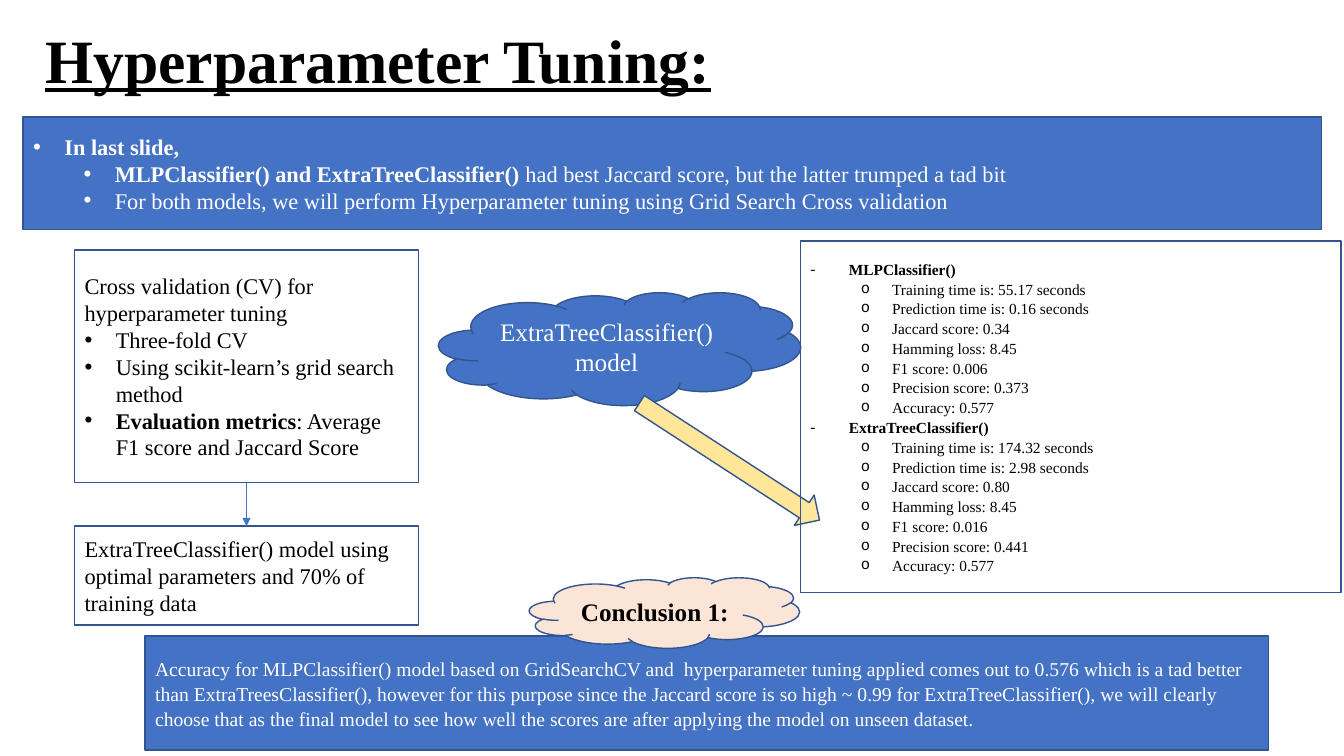
import pptx
import pptx.dml.color
import pptx.enum.shapes
import pptx.enum.text
import pptx.oxml
import pptx.oxml.ns
import pptx.util

Inches, Pt = pptx.util.Inches, pptx.util.Pt
SHAPE = pptx.enum.shapes.MSO_SHAPE
ALIGN = pptx.enum.text.PP_ALIGN
ANCHOR = pptx.enum.text.MSO_ANCHOR

FONT = "Times New Roman"
BLUE, OUTLINE, CREAM, PEACH = "4472C4", "325491", "FFE699", "FBE5D6"
WHITE, BLACK = "FFFFFF", "000000"

# Bullet styles: level, left margin, hanging indent, character, bullet font
PLAIN = None
DOT = (0, 0.31, 0.31, "•", "Arial")
SUB_DOT = (1, 0.81, 0.31, "•", "Arial")
DASH = (0, 0.38, 0.38, "-", FONT)
CIRCLE = (1, 0.81, 0.31, "o", "Courier New")

TITLE = "Hyperparameter Tuning:"

# A paragraph is a bullet style and its runs, each with a bold flag
RECAP = [
    (DOT, [("In last slide, ", True)]),
    (SUB_DOT, [("MLPClassifier() and ExtraTreeClassifier() ", True),
               ("had best Jaccard score, but the latter trumped a tad bit", False)]),
    (SUB_DOT, [("For both models, we will perform Hyperparameter tuning using "
                "Grid Search Cross validation", False)]),
]
VALIDATION = [
    (PLAIN, [("Cross validation (CV) for hyperparameter tuning", False)]),
    (DOT, [("Three-fold CV", False)]),
    (DOT, [("Using scikit-learn’s grid search method", False)]),
    (DOT, [("Evaluation metrics", True), (": Average F1 score and Jaccard Score", False)]),
]
TRAINING = [(PLAIN, [("ExtraTreeClassifier() model using optimal parameters and 70% of "
                      "training data", False)])]
MODEL = [(PLAIN, [("ExtraTreeClassifier() model", False)])]
CONCLUSION_LABEL = [(PLAIN, [("Conclusion 1:", True)])]
CONCLUSION = [(PLAIN, [(
    "Accuracy for MLPClassifier() model based on GridSearchCV and  hyperparameter tuning "
    "applied comes out to 0.576 which is a tad better than ExtraTreesClassifier(), however "
    "for this purpose since the Jaccard score is so high ~ 0.99 for ExtraTreeClassifier(), "
    "we will clearly choose that as the final model to see how well the scores are after "
    "applying the model on unseen dataset.", False)])]

METRICS = ["Training time is: {} seconds", "Prediction time is: {} seconds",
           "Jaccard score: {}", "Hamming loss: {}", "F1 score: {}",
           "Precision score: {}", "Accuracy: {}"]
SCORES = {
    "MLPClassifier()": ["55.17", "0.16", "0.34", "8.45", "0.006", "0.373", "0.577"],
    "ExtraTreeClassifier()": ["174.32", "2.98", "0.80", "8.45", "0.016", "0.441", "0.577"],
}
RESULTS = []
for model, scores in SCORES.items():
    RESULTS.append((DASH, [(model, True)]))
    RESULTS += [(CIRCLE, [(metric.format(score), False)])
                for metric, score in zip(METRICS, scores)]

LEFT_X, LEFT_WIDTH = 0.74, 3.41
VALIDATION_TOP, VALIDATION_HEIGHT, TRAINING_TOP = 2.48, 2.31, 5.22


def rgb(value):
    return pptx.dml.color.RGBColor.from_string(value)


def style_font(font, size, color, bold):
    font.name, font.size, font.bold = FONT, Pt(size), bold
    font.color.rgb = rgb(color)


def add_bullet(paragraph, bullet):
    level, margin, hanging, character, bullet_font = bullet
    paragraph.level = level
    properties = paragraph._p.get_or_add_pPr()
    properties.set("marL", str(Inches(margin)))
    properties.set("indent", str(-Inches(hanging)))
    for tag, attribute, value in (("buFont", "typeface", bullet_font),
                                  ("buChar", "char", character)):
        element = pptx.oxml.parse_xml(f'<a:{tag} {pptx.oxml.ns.nsdecls("a")}/>')
        element.set(attribute, value)
        properties.append(element)


def add_block(slide, kind, box, fill=None, content=(), size=16, color=BLACK,
              align=ALIGN.LEFT, line_spacing=None, space_after=0):
    """Add an outlined shape with its paragraphs; space_after follows the last one."""
    block = slide.shapes.add_shape(kind, *map(Inches, box))
    block.shadow.inherit = False
    if fill:
        block.fill.solid()
        block.fill.fore_color.rgb = rgb(fill)
    else:
        block.fill.background()
    block.line.color.rgb = rgb(OUTLINE)
    block.line.width = Pt(1)
    frame = block.text_frame
    frame.word_wrap = True
    frame.vertical_anchor = ANCHOR.MIDDLE
    for index, (bullet, runs) in enumerate(content):
        paragraph = frame.add_paragraph() if index else frame.paragraphs[0]
        paragraph.alignment = align
        if line_spacing:
            paragraph.line_spacing = line_spacing
        if bullet:
            add_bullet(paragraph, bullet)
        for text, bold in runs:
            run = paragraph.add_run()
            run.text = text
            style_font(run.font, size, color, bold)
    if space_after:
        frame.paragraphs[-1].space_after = Pt(space_after)
    return block


def add_title(slide):
    title = slide.shapes.title
    title.left, title.top, title.width, title.height = map(Inches, (0.27, 0.22, 6.96, 0.84))
    frame = title.text_frame
    frame.text = TITLE
    frame.word_wrap = True
    frame.auto_size = pptx.enum.text.MSO_AUTO_SIZE.NONE
    frame.vertical_anchor = ANCHOR.BOTTOM
    frame.margin_left = frame.margin_right = Inches(0.1)
    frame.margin_top = frame.margin_bottom = Inches(0.1)
    heading = frame.paragraphs[0]
    heading.alignment, heading.line_spacing = ALIGN.CENTER, 0.9
    style_font(heading.runs[0].font, 44, BLACK, True)
    heading.runs[0].font.underline = True


def add_flow_arrow(slide):
    x = Inches(LEFT_X + LEFT_WIDTH / 2)
    arrow = slide.shapes.add_connector(
        pptx.enum.shapes.MSO_CONNECTOR.STRAIGHT,
        x, Inches(VALIDATION_TOP + VALIDATION_HEIGHT), x, Inches(TRAINING_TOP))
    arrow.line.color.rgb = rgb(BLUE)
    arrow.line.width = Pt(0.5)
    namespace = pptx.oxml.ns.nsdecls("a")
    arrow.line._get_or_add_ln().append(
        pptx.oxml.parse_xml(f'<a:tailEnd {namespace} type="triangle"/>'))
    arrow._element.spPr.append(pptx.oxml.parse_xml(f"<a:effectLst {namespace}/>"))


def main():
    deck = pptx.Presentation()
    deck.slide_width, deck.slide_height = Inches(13.33), Inches(7.5)
    slide = deck.slides.add_slide(deck.slide_layouts[5])
    add_title(slide)
    add_block(slide, SHAPE.RECTANGLE, (0.23, 1.16, 12.88, 1.12), BLUE, RECAP,
              color=WHITE, align=ALIGN.JUSTIFY)
    add_block(slide, SHAPE.RECTANGLE,
              (LEFT_X, VALIDATION_TOP, LEFT_WIDTH, VALIDATION_HEIGHT), content=VALIDATION)
    add_block(slide, SHAPE.RECTANGLE, (LEFT_X, TRAINING_TOP, LEFT_WIDTH, 0.98),
              content=TRAINING)
    add_flow_arrow(slide)
    add_block(slide, SHAPE.CLOUD, (4.35, 2.9, 3.59, 1.12), BLUE, MODEL, size=18,
              color=WHITE, align=ALIGN.CENTER)
    results_arrow = add_block(slide, SHAPE.RIGHT_ARROW, (6.17, 4.4, 2.13, 0.36), CREAM)
    results_arrow.rotation = 33
    add_block(slide, SHAPE.RECTANGLE, (1.44, 6.31, 11.14, 1.13), BLUE, CONCLUSION, size=14,
              color=WHITE, line_spacing=1.07, space_after=8)
    add_block(slide, SHAPE.CLOUD, (5.25, 5.73, 2.68, 0.7), PEACH, CONCLUSION_LABEL, size=18,
              align=ALIGN.CENTER)
    add_block(slide, SHAPE.RECTANGLE, (7.94, 2.39, 5.36, 3.49), content=RESULTS, size=11,
              line_spacing=1.07, space_after=8)
    deck.save("out.pptx")


if __name__ == "__main__":
    main()
